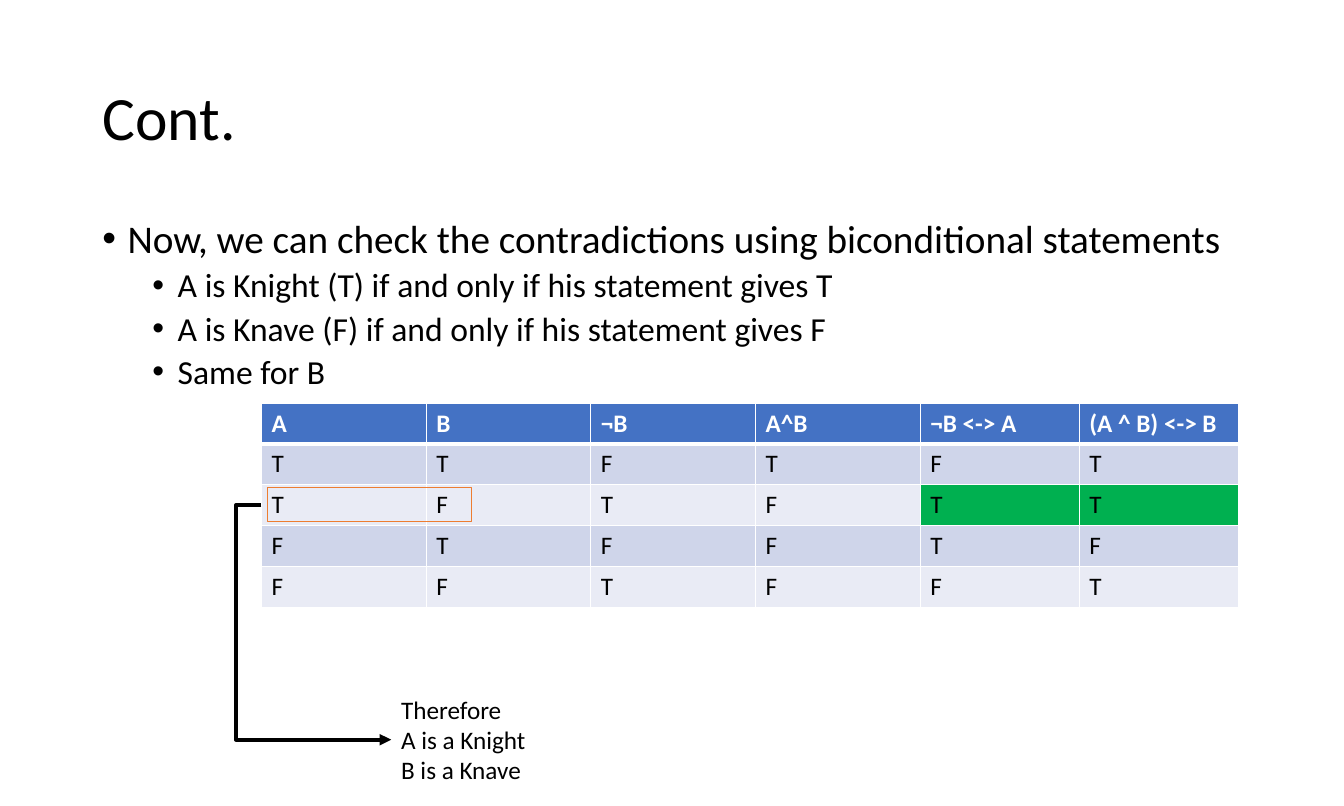
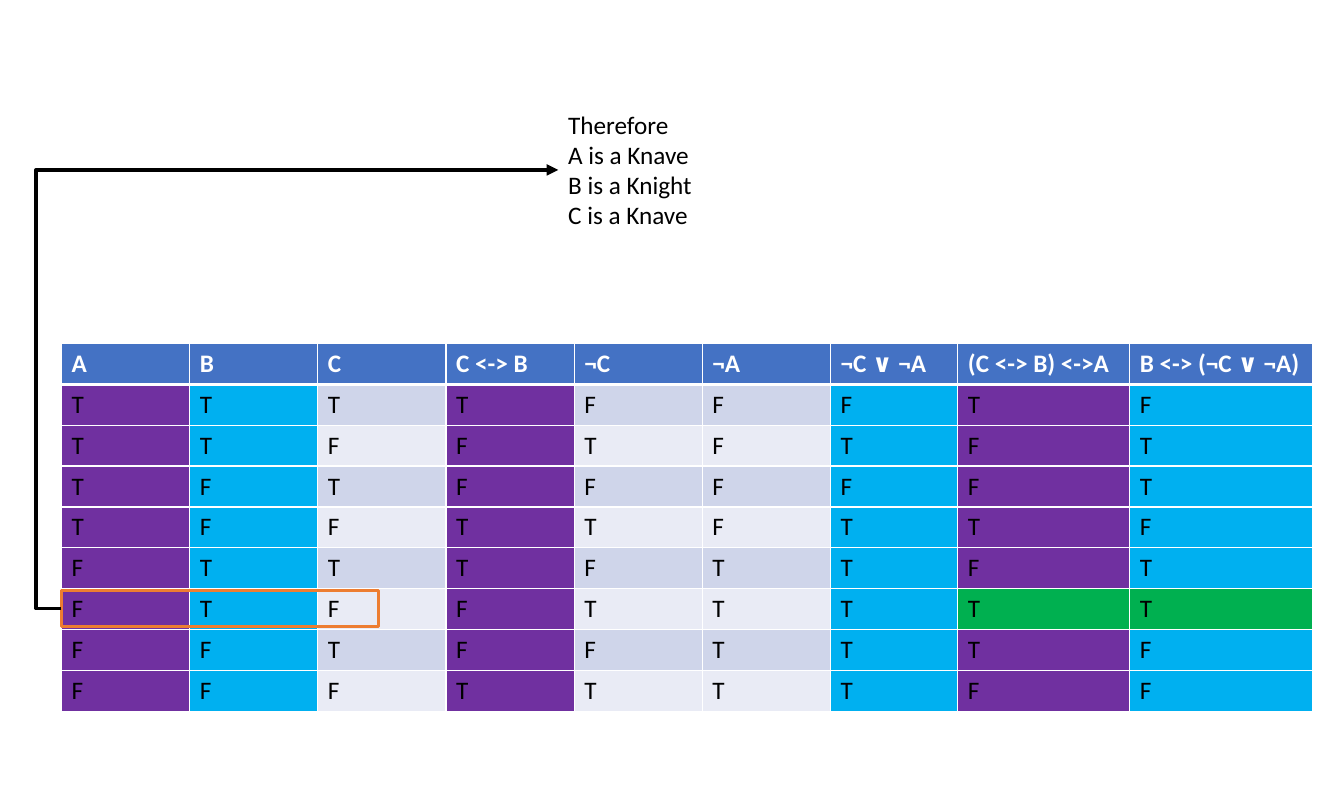
import pptx
import pptx.dml.color
import pptx.enum.shapes
import pptx.enum.text
import pptx.oxml
import pptx.oxml.ns
import pptx.util
from pptx.util import Cm, Pt

RGBColor = pptx.dml.color.RGBColor
BLACK = RGBColor(0x00, 0x00, 0x00)
WHITE = RGBColor(0xFF, 0xFF, 0xFF)
HEADER_BLUE = RGBColor(0x44, 0x72, 0xC4)
BAND_DARK = RGBColor(0xCF, 0xD5, 0xEA)
BAND_LIGHT = RGBColor(0xE9, 0xEB, 0xF5)
PURPLE = RGBColor(0x70, 0x30, 0xA0)
CYAN = RGBColor(0x00, 0xB0, 0xF0)
GREEN = RGBColor(0x00, 0xB0, 0x50)
ORANGE = RGBColor(0xED, 0x7D, 0x31)

FONT = "Calibri"
ROW_HEIGHT = 1.03
NAMESPACE = pptx.oxml.ns.nsdecls("a")


def add_text(slide, left, top, width, height, lines, sizes):
    """Add a text box with one paragraph per line, each in its own size."""
    box = slide.shapes.add_textbox(Cm(left), Cm(top), Cm(width), Cm(height))
    frame = box.text_frame
    frame.word_wrap = True
    frame.text = "\n".join(lines)
    for paragraph, size in zip(frame.paragraphs, sizes):
        paragraph.font.name = FONT
        paragraph.font.size = Pt(size)
        paragraph.font.color.rgb = BLACK
    return frame


def add_truth_table(slide, left, top, column_width, columns, solved_row=None):
    """Add a table from (header, truth values, fill) columns; no fill means bands."""
    row_count = len(columns[0][1]) + 1
    table = slide.shapes.add_table(
        row_count, len(columns), Cm(left), Cm(top),
        Cm(column_width * len(columns)), Cm(ROW_HEIGHT * row_count)).table
    table.horz_banding = False
    for row in table.rows:
        row.height = Cm(ROW_HEIGHT)
    for column_index, (header, values, column_fill) in enumerate(columns):
        table.columns[column_index].width = Cm(column_width)
        for row_index, text in enumerate([header, *values]):
            cell = table.cell(row_index, column_index)
            cell.text = text
            is_header = row_index == 0
            if is_header:
                fill = HEADER_BLUE
            elif row_index == solved_row:
                fill = GREEN
            else:
                fill = column_fill or (BAND_DARK if row_index % 2 else BAND_LIGHT)
            cell.fill.solid()
            cell.fill.fore_color.rgb = fill
            font = cell.text_frame.paragraphs[0].font
            font.name = FONT
            font.size = Pt(18)
            font.bold = is_header
            font.color.rgb = WHITE if is_header else BLACK
            borders = {"lnL": 1, "lnR": 1, "lnT": 3 if row_index == 1 else 1,
                       "lnB": 3 if is_header else 1}
            properties = cell._tc.get_or_add_tcPr()
            for position, (side, points) in enumerate(borders.items()):
                properties.insert(position, pptx.oxml.parse_xml(
                    f'<a:{side} {NAMESPACE} w="{Pt(points)}"><a:solidFill>'
                    f'<a:srgbClr val="{WHITE}"/></a:solidFill></a:{side}>'))


presentation = pptx.Presentation()
presentation.slide_width = Cm(33.87)
presentation.slide_height = Cm(20.32)
blank_layout = presentation.slide_layouts[6]

# Slide 1: two inhabitants
two_people = presentation.slides.add_slide(blank_layout)
title = add_text(two_people, 2.33, 1.08, 29.21, 3.93, ["Cont."], [44])
title.vertical_anchor = pptx.enum.text.MSO_ANCHOR.MIDDLE
title.paragraphs[0].line_spacing = 0.9

body = add_text(two_people, 2.33, 5.41, 29.21, 12.9, [
    "Now, we can check the contradictions using biconditional statements",
    "A is Knight (T) if and only if his statement gives T",
    "A is Knave (F) if and only if his statement gives F",
    "Same for B",
], [28, 24, 24, 24])
for index, paragraph in enumerate(body.paragraphs):
    properties = paragraph._p.get_or_add_pPr()
    properties.set("marL", str(Cm(1.9 if index else 0.64)))
    properties.set("indent", str(-Cm(0.64)))
    bullet_font = pptx.oxml.parse_xml(f'<a:buFont {NAMESPACE} typeface="Arial"/>')
    bullet = pptx.oxml.parse_xml(f'<a:buChar {NAMESPACE} char="•"/>')
    properties.insert(0, bullet_font)
    bullet_font.addnext(bullet)
    paragraph.line_spacing = 0.9
    if index:
        paragraph.level = 1
        paragraph.space_before = Pt(5)

add_truth_table(two_people, 6.59, 10.16, 4.15, [
    ("A", "TTFF", None),
    ("B", "TFTF", None),
    ("¬B", "FTFT", None),
    ("A^B", "TFFF", None),
])
add_truth_table(two_people, 23.19, 10.16, 4.01, [
    ("¬B <-> A", "FTTF", None),
    ("(A ^ B) <-> B", "TTFT", None),
], solved_row=2)

# Slide 2: three inhabitants
three_people = presentation.slides.add_slide(blank_layout)
add_truth_table(three_people, 1.55, 8.66, 3.23, [
    ("A", "TTTTFFFF", PURPLE),
    ("B", "TTFFTTFF", CYAN),
    ("C", "TFTFTFTF", None),
    ("C <-> B", "TFFTTFFT", PURPLE),
    ("¬C", "FTFTFTFT", None),
    ("¬A", "FFFFTTTT", None),
    ("¬C ∨ ¬A", "FTFTTTTT", CYAN),
])
add_truth_table(three_people, 24.14, 8.66, 4.33,
                [("(C <-> B) <->A", "TFFTFTTF", PURPLE)], solved_row=6)
add_truth_table(three_people, 28.47, 8.66, 4.6,
                [("B <-> (¬C ∨ ¬A)", "FTTFTTFF", CYAN)], solved_row=6)

# Solved row outlined, with an arrow that leads to the conclusion
conclusions = [
    (two_people, (6.74, 12.3, 5.14, 0.84), 0.75, (6.59, 12.73),
     (9.86, 17.37, 3.68, 2.56), ["Therefore\vA is a Knight", "B is a Knave"]),
    (three_people, (1.55, 14.88, 8.0, 0.92), 2, (1.55, 15.34),
     (14.07, 2.62, 3.66, 3.33),
     ["Therefore\vA is a Knave", "B is a Knight", "C is a Knave"]),
]
for slide, outline_box, outline_width, start, text_box, lines in conclusions:
    outline = slide.shapes.add_shape(
        pptx.enum.shapes.MSO_SHAPE.RECTANGLE, *map(Cm, outline_box))
    outline.shadow.inherit = False
    outline.fill.background()
    outline.line.color.rgb = ORANGE
    outline.line.width = Pt(outline_width)

    frame = add_text(slide, *text_box, lines, [18] * len(lines))
    frame.word_wrap = False
    frame.auto_size = pptx.enum.text.MSO_AUTO_SIZE.SHAPE_TO_FIT_TEXT

    text_left, text_top, _, text_height = text_box
    arrow = slide.shapes.add_connector(
        pptx.enum.shapes.MSO_CONNECTOR.ELBOW, Cm(start[0]), Cm(start[1]),
        Cm(text_left), Cm(text_top + text_height / 2))
    arrow.line.color.rgb = BLACK
    arrow.line.width = Pt(2.75)
    arrow.line._get_or_add_ln().append(
        pptx.oxml.parse_xml(f'<a:tailEnd {NAMESPACE} type="triangle"/>'))
    shape_properties = arrow._element.spPr
    shape_properties.append(pptx.oxml.parse_xml(f"<a:effectLst {NAMESPACE}/>"))
    # The elbow runs 0.64 cm to the left of the start
    bend = round(-0.64 / (text_left - start[0]) * 100000)
    adjustments = shape_properties.find(".//" + pptx.oxml.ns.qn("a:avLst"))
    adjustments.append(pptx.oxml.parse_xml(
        f'<a:gd {NAMESPACE} name="adj1" fmla="val {bend}"/>'))

presentation.save("out.pptx")
